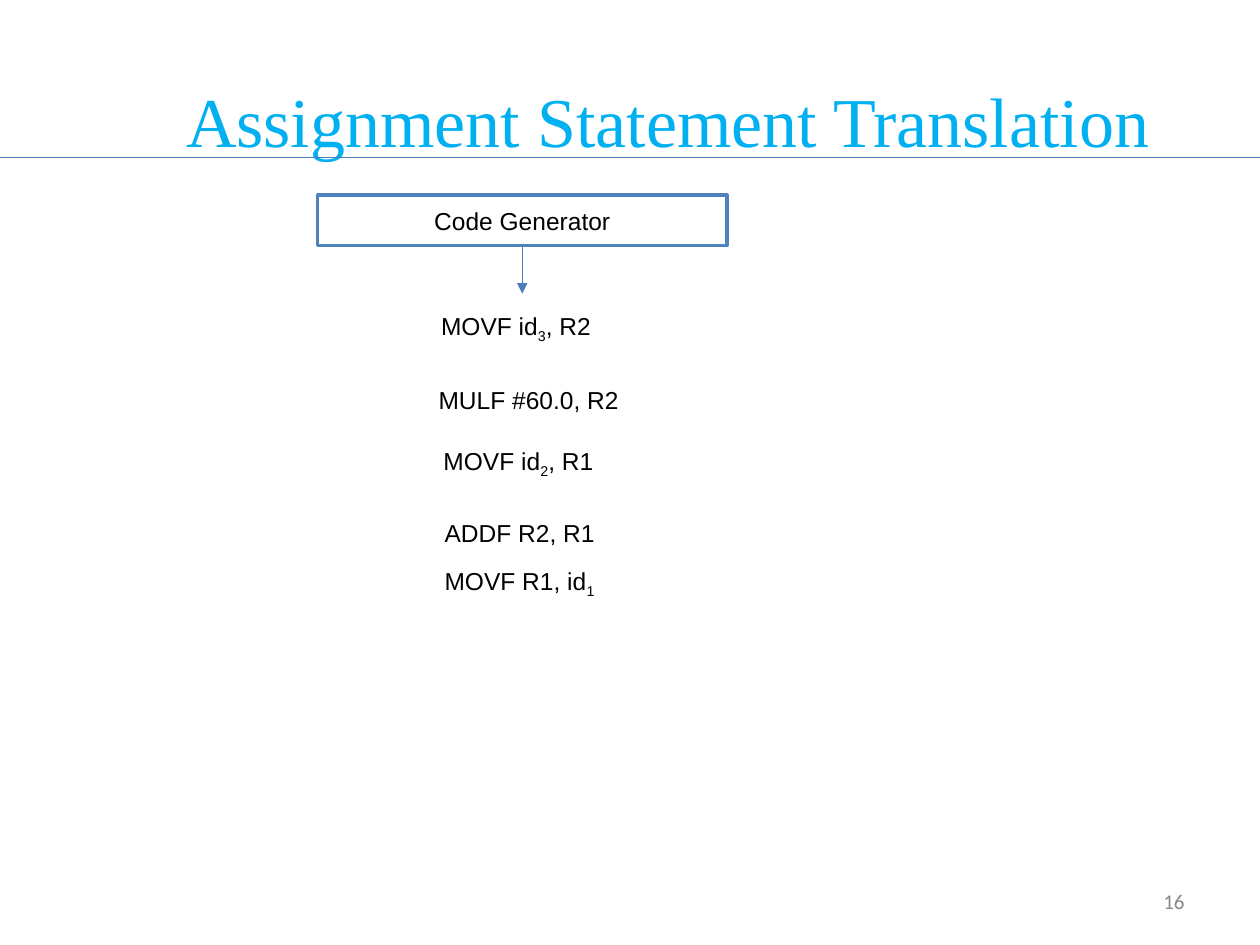
from dataclasses import dataclass

from lxml import etree
from pptx import Presentation
from pptx import util as u
from pptx.dml.color import RGBColor
from pptx.enum import shapes, text
from pptx.oxml import ns


@dataclass(frozen=True)
class Theme:
    title_font: str = "Times New Roman"
    body_font: str = "Arial"
    number_font: str = "Calibri"
    title_size: float = 40
    body_size: float = 14
    number_size: float = 12
    title_color: str = "00B0F0"
    body_color: str = "000000"
    number_color: str = "888888"
    box_fill: str = "FFFFFF"
    box_line: str = "4F81BD"
    rule_line: str = "4A7DBA"


THEME = Theme()
TITLE = (THEME.title_font, THEME.title_size, THEME.title_color)
BODY = (THEME.body_font, THEME.body_size, THEME.body_color)
NUMBER = (THEME.number_font, THEME.number_size, THEME.number_color)

# The grid has 100 columns and 75 rows of a tenth of an inch
CELL = u.Inches(0.1)
COLUMNS, ROWS = 100, 75
SUBSCRIPT = "-25000"

# Column, row, width, indent, then the text and its subscripts in turn
INSTRUCTIONS = [
    (28.6, 24.2, 25.8, 5.4, ["MOVF id", "3", ", R2"]),
    (27.9, 30.1, 27.2, 5.9, ["MULF #60.0, R2"]),
    (32.6, 34.9, 17.8, 1.6, ["MOVF id", "2", ", R1"]),
    (34.3, 40.6, 16, 0, ["ADDF R2, R1"]),
    (34.3, 44.4, 18.2, 0, ["MOVF R1, id", "1"]),
]


def cells(*counts):
    return [round(count * CELL) for count in counts]


def write(frame, parts, style, align, anchor):
    """Write the parts as runs; every second part is a subscript."""
    font_name, size, color = style
    frame.word_wrap = True
    frame.vertical_anchor = anchor
    paragraph = frame.paragraphs[0]
    paragraph.alignment = align
    for index, part in enumerate(parts):
        run = paragraph.add_run()
        run.text = part
        run.font.name = font_name
        run.font.size = u.Pt(size)
        run.font.color.rgb = RGBColor.from_string(color)
        if index % 2:
            run._r.get_or_add_rPr().set("baseline", SUBSCRIPT)


def add_label(slide, place, parts, style, align=text.PP_ALIGN.LEFT,
              anchor=text.MSO_ANCHOR.MIDDLE, indent=0):
    frame = slide.shapes.add_textbox(*cells(*place)).text_frame
    frame.margin_left = cells(1 + indent)[0]
    write(frame, parts, style, align, anchor)


def add_box(slide, place, label):
    shape = slide.shapes.add_shape(shapes.MSO_SHAPE.RECTANGLE, *cells(*place))
    shape.shadow.inherit = False
    shape.fill.solid()
    shape.fill.fore_color.rgb = RGBColor.from_string(THEME.box_fill)
    shape.line.color.rgb = RGBColor.from_string(THEME.box_line)
    shape.line.width = u.Pt(2)
    write(shape.text_frame, [label], BODY, text.PP_ALIGN.CENTER,
          text.MSO_ANCHOR.MIDDLE)
    return shape


def add_line(slide, start, end):
    line = slide.shapes.add_connector(shapes.MSO_CONNECTOR.STRAIGHT,
                                      *cells(*start, *end))
    line.line.color.rgb = RGBColor.from_string(THEME.rule_line)
    line.line.width = u.Pt(0.75)
    etree.SubElement(line._element.spPr, ns.qn("a:effectLst"))
    return line


def add_arrow_below(slide, shape, place, length):
    left, top, width, height = place
    middle, bottom = left + width / 2, top + height
    arrow = add_line(slide, (middle, bottom), (middle, bottom + length))
    arrow.begin_connect(shape, 2)
    etree.SubElement(arrow.line._get_or_add_ln(), ns.qn("a:tailEnd"),
                     type="triangle")


def main():
    presentation = Presentation()
    presentation.slide_width, presentation.slide_height = cells(COLUMNS, ROWS)
    slide = presentation.slides.add_slide(presentation.slide_layouts[6])

    # Title, page number and rule
    add_label(slide, (8, 3.2, 90, 12.5), ["Assignment Statement Translation"],
              TITLE, text.PP_ALIGN.CENTER)
    add_label(slide, (71.7, 69.5, 23.3, 4), ["16"], NUMBER,
              text.PP_ALIGN.RIGHT)
    add_line(slide, (0, 12.5), (COLUMNS, 12.5))

    # Code generator and its output arrow
    generator_place = (25.2, 15.5, 32.5, 4)
    generator = add_box(slide, generator_place, "Code Generator")
    add_arrow_below(slide, generator, generator_place, 3.8)

    # Generated instructions
    for column, row, width, indent, parts in INSTRUCTIONS:
        add_label(slide, (column, row, width, 3.4), parts, BODY,
                  anchor=text.MSO_ANCHOR.TOP, indent=indent)

    presentation.save("out.pptx")


if __name__ == "__main__":
    main()
